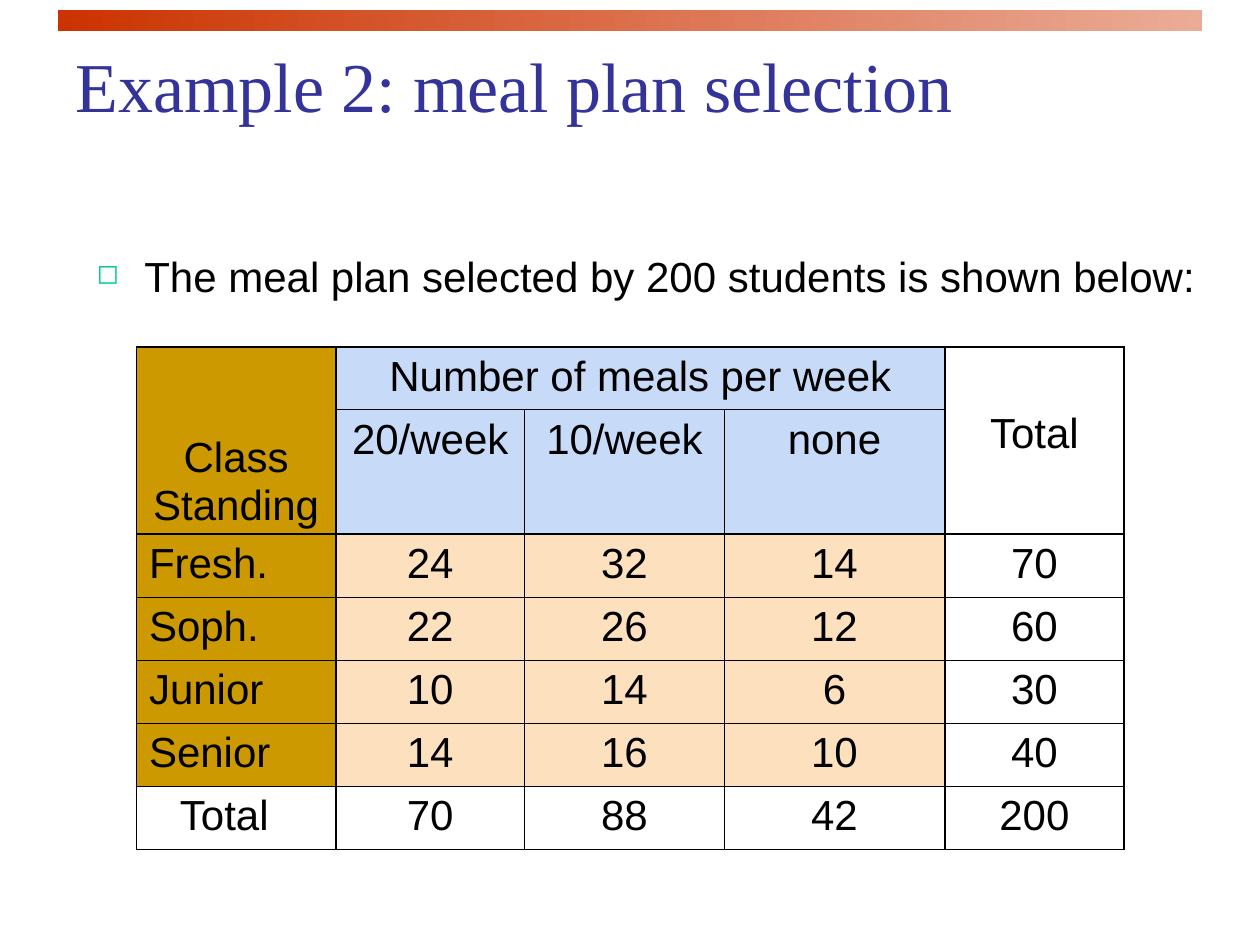
from dataclasses import dataclass

from lxml import etree
from pptx import Presentation
from pptx.dml.color import RGBColor
from pptx.enum.shapes import MSO_SHAPE
from pptx.enum.text import MSO_ANCHOR, PP_ALIGN
from pptx.oxml.ns import qn
from pptx.util import Cm, Pt

LEFT, CENTER = PP_ALIGN.LEFT, PP_ALIGN.CENTER
TOP, MIDDLE, BOTTOM = MSO_ANCHOR.TOP, MSO_ANCHOR.MIDDLE, MSO_ANCHOR.BOTTOM
RECTANGLE = MSO_SHAPE.RECTANGLE
TITLE_ONLY = 5


@dataclass(frozen=True)
class Theme:
    title_font: str = "Times New Roman"
    body_font: str = "Arial"
    title_size: int = 40
    body_size: int = 24
    title: str = "333399"
    text: str = "000000"
    bar_start: str = "CC3300"
    bar_end: str = "EAAC97"
    bullet: str = "00CC99"
    standing: str = "CC9900"
    header: str = "C7DAF7"
    count: str = "FDE0BD"
    thick: float = 1.08
    thin: float = 0.45


THEME = Theme()

COL_WIDTHS = [4.02, 3.81, 4.02, 4.45, 3.61]
ROW_HEIGHTS = [1.27, 2.51] + [1.27] * 5
THICK_COL_EDGES = {0, 1, 4, 5}
THICK_ROW_EDGES = {0, 2, 6, 7}
MEAL_ROWS = [
    ["Class\nStanding", "Number of meals per week", "", "", "Total"],
    ["", "20/week", "10/week", "none", ""],
    ["Fresh.", "24", "32", "14", "70"],
    ["Soph.", "22", "26", "12", "60"],
    ["Junior", "10", "14", "6", "30"],
    ["Senior", "14", "16", "10", "40"],
    ["Total", "70", "88", "42", "200"],
]


def format_text(tf, font, size, color, align=LEFT, space_before=0):
    for p in tf.paragraphs:
        p.alignment = align
        p.space_before = Pt(space_before)
        for r in p.runs:
            r.font.name = font
            r.font.size = Pt(size)
            r.font.color.rgb = RGBColor.from_string(color)


def add_gradient_bar(slide):
    sp = slide.shapes.add_shape(RECTANGLE, Cm(1.17), Cm(0.2), Cm(23.06), Cm(0.43))
    sp.shadow.inherit = False
    sp.line.fill.background()
    sp.fill.gradient()
    sp.fill.gradient_angle = 0
    for stop, color in zip(sp.fill.gradient_stops, (THEME.bar_start, THEME.bar_end)):
        stop.color.rgb = RGBColor.from_string(color)


def set_title(slide, text):
    sp = slide.shapes.title
    sp.left, sp.top, sp.width, sp.height = Cm(1.27), Cm(0.64), Cm(22.86), Cm(2.11)
    tf = sp.text_frame
    tf.text = text
    tf.vertical_anchor = MIDDLE
    format_text(tf, THEME.title_font, THEME.title_size, THEME.title)


def add_bullet_text(slide, text):
    tf = slide.shapes.add_textbox(Cm(1.7), Cm(4.88), Cm(22.86), Cm(1.37)).text_frame
    tf.word_wrap = True
    tf.vertical_anchor = MIDDLE
    tf.text = text
    format_text(tf, THEME.body_font, THEME.body_size, THEME.text, space_before=6)
    pPr = tf.paragraphs[0]._p.get_or_add_pPr()
    pPr.set("marL", str(Cm(0.96)))
    pPr.set("indent", str(-Cm(0.96)))
    color = etree.SubElement(pPr, qn("a:buClr"))
    etree.SubElement(color, qn("a:srgbClr"), val=THEME.bullet)
    etree.SubElement(pPr, qn("a:buSzPct"), val="65000")
    etree.SubElement(pPr, qn("a:buChar"), char="◻")


def set_borders(cell, row, col):
    """Draw thick lines around the table's sections and thin lines inside them."""
    height = cell.span_height if cell.is_merge_origin else 1
    width = cell.span_width if cell.is_merge_origin else 1
    thick_sides = {
        "L": col in THICK_COL_EDGES,
        "R": col + width in THICK_COL_EDGES,
        "T": row in THICK_ROW_EDGES,
        "B": row + height in THICK_ROW_EDGES,
    }
    tcPr = cell._tc.get_or_add_tcPr()
    for side, thick in thick_sides.items():
        weight = Pt(THEME.thick if thick else THEME.thin)
        ln = etree.SubElement(tcPr, qn(f"a:ln{side}"), w=str(weight))
        fill = etree.SubElement(ln, qn("a:solidFill"))
        etree.SubElement(fill, qn("a:srgbClr"), val=THEME.text)


def cell_fill(row, col):
    if col == 4 or row == 6:
        return None
    if col == 0:
        return THEME.standing
    return THEME.header if row < 2 else THEME.count


def fill_cell(cell, text, row, col):
    set_borders(cell, row, col)
    color = cell_fill(row, col)
    if color:
        cell.fill.solid()
        cell.fill.fore_color.rgb = RGBColor.from_string(color)
    else:
        cell.fill.background()
    cell.vertical_anchor = TOP
    cell.text_frame.text = text
    align = LEFT if col == 0 and 2 <= row <= 5 else CENTER
    format_text(cell.text_frame, THEME.body_font, THEME.body_size, THEME.text, align, 6)


def add_meal_table(slide):
    frame = slide.shapes.add_table(
        len(ROW_HEIGHTS), len(COL_WIDTHS), Cm(2.75), Cm(6.99),
        Cm(sum(COL_WIDTHS)), Cm(sum(ROW_HEIGHTS)))
    table = frame.table
    table.first_row = table.horz_banding = False
    for column, width in zip(table.columns, COL_WIDTHS):
        column.width = Cm(width)
    for table_row, height in zip(table.rows, ROW_HEIGHTS):
        table_row.height = Cm(height)

    standing, meals, total = (table.cell(0, col) for col in (0, 1, 4))
    standing.merge(table.cell(1, 0))
    meals.merge(table.cell(0, 3))
    total.merge(table.cell(1, 4))
    for row, texts in enumerate(MEAL_ROWS):
        for col, text in enumerate(texts):
            cell = table.cell(row, col)
            if not cell.is_spanned:
                fill_cell(cell, text, row, col)

    standing.vertical_anchor = BOTTOM
    for p in standing.text_frame.paragraphs:
        p.line_spacing = 0.8
    total.vertical_anchor = MIDDLE
    total.margin_bottom = Cm(0.38)
    table.cell(6, 0).margin_right = Cm(0.73)


def main():
    prs = Presentation()
    prs.slide_width, prs.slide_height = Cm(25.4), Cm(19.05)
    slide = prs.slides.add_slide(prs.slide_layouts[TITLE_ONLY])
    add_gradient_bar(slide)
    set_title(slide, "Example 2: meal plan selection")
    add_bullet_text(slide, "The meal plan selected by 200 students is shown below:")
    add_meal_table(slide)
    prs.save("out.pptx")


if __name__ == "__main__":
    main()
